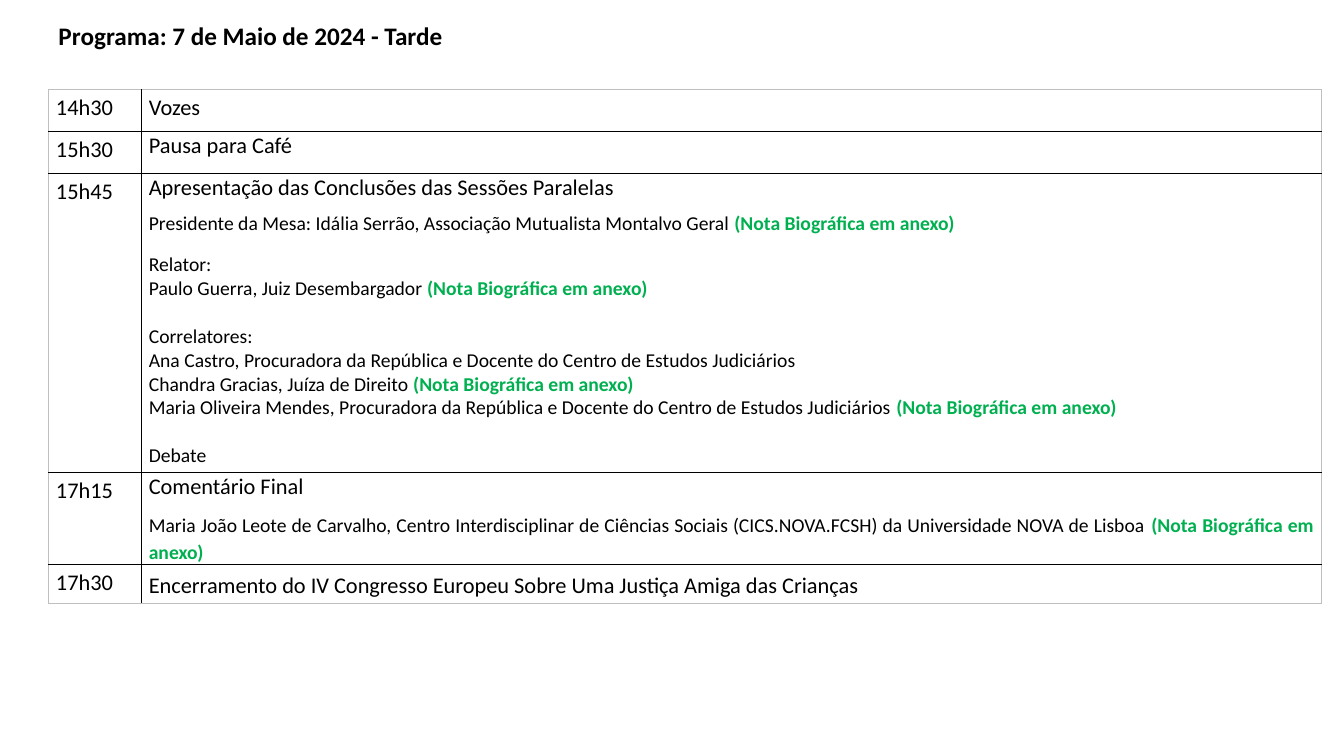
"""Builds the afternoon programme slide of a congress."""
from lxml import etree
from pptx import Presentation
from pptx import util as u
from pptx.dml.color import RGBColor
from pptx.enum import text
from pptx.oxml import ns

BLACK = RGBColor(0, 0, 0)
GREEN = RGBColor(0x00, 0xB0, 0x50)
GREY = RGBColor(0xBF, 0xBF, 0xBF)
FONT = "Calibri"
TOP, MIDDLE = text.MSO_ANCHOR.TOP, text.MSO_ANCHOR.MIDDLE
NOTE = "(Nota Biográfica em anexo)"
LOOSE = {"alignment": text.PP_ALIGN.JUSTIFY, "line_spacing": 1.15}
COLS = (2.34, 29.74)

PROGRAMME = [
    ("14h30", 1.06, TOP, [("Vozes", 16, False, LOOSE)]),
    ("15h30", 1.06, TOP, [("Pausa para Café", 16, False, {})]),
    ("15h45", 7.53, TOP, [
        ("Apresentação das Conclusões das Sessões Paralelas", 16, False, {}),
        ("Presidente da Mesa: Idália Serrão, Associação Mutualista Montalvo Geral ",
         14, True, {"space_before": u.Pt(7.3)}),
        ("Relator:", 14, False, {"space_before": u.Pt(12.8)}),
        ("Paulo Guerra, Juiz Desembargador ", 14, True, {}),
        ("Correlatores:", 14, False, {"space_before": u.Pt(17)}),
        ("Ana Castro, Procuradora da República e Docente do Centro de Estudos Judiciários",
         14, False, {}),
        ("Chandra Gracias, Juíza de Direito ", 14, True, {}),
        ("Maria Oliveira Mendes, Procuradora da República e Docente do Centro de "
         "Estudos Judiciários ", 14, True, {}),
        ("Debate", 14, False, {"space_before": u.Pt(17)}),
    ]),
    ("17h15", 2.32, MIDDLE, [
        ("Comentário Final", 16, False, {}),
        ("Maria João Leote de Carvalho, Centro Interdisciplinar de Ciências Sociais "
         "(CICS.NOVA.FCSH) da Universidade NOVA de Lisboa ",
         14, True, {**LOOSE, "space_before": u.Pt(7)}),
    ]),
    ("17h30", 0.98, MIDDLE, [
        ("Encerramento do IV Congresso Europeu Sobre Uma Justiça Amiga das Crianças",
         16, False, LOOSE),
    ]),
]


def apply(obj, values):
    """Set each named attribute of an object."""
    for name, value in values.items():
        setattr(obj, name, value)


def add_run(p, words, size, color=BLACK, bold=False):
    """Add a formatted run to a paragraph."""
    r = p.add_run()
    r.text = words
    apply(r.font, {"name": FONT, "size": u.Pt(size), "bold": bold})
    r.font.color.rgb = color


def fill_cell(cell, paragraphs, anchor):
    """Write the paragraphs of a cell, with the note where one is due."""
    apply(cell, {"margin_left": u.Cm(0.19), "margin_right": u.Cm(0.19),
                 "margin_top": 0, "margin_bottom": 0, "vertical_anchor": anchor})
    cell.fill.background()
    tf = cell.text_frame
    for i, (words, size, noted, layout) in enumerate(paragraphs):
        p = tf.add_paragraph() if i else tf.paragraphs[0]
        apply(p, layout)
        add_run(p, words, size)
        if noted:
            add_run(p, NOTE, size, GREEN, True)


def border_cell(cell, outer):
    """Draw grey lines on the outer sides of a cell and black ones inside."""
    tc_pr = cell._tc.get_or_add_tcPr()
    for i, side in enumerate(("lnL", "lnR", "lnT", "lnB")):
        color, width = (GREY, 0.5) if side in outer else (BLACK, 1)
        ln = etree.Element(ns.qn("a:" + side), w=str(u.Pt(width)))
        fill = etree.SubElement(ln, ns.qn("a:solidFill"))
        etree.SubElement(fill, ns.qn("a:srgbClr"), val=str(color))
        tc_pr.insert(i, ln)


def add_title(s, words):
    """Place and format the title of the slide."""
    sp = s.shapes.title
    apply(sp, {"left": u.Cm(1.22), "top": u.Cm(0.38),
               "width": u.Cm(17.78), "height": u.Cm(1.03)})
    tf = sp.text_frame
    apply(tf, {"vertical_anchor": TOP, "word_wrap": True,
               "auto_size": text.MSO_AUTO_SIZE.NONE})
    p = tf.paragraphs[0]
    p.alignment = text.PP_ALIGN.LEFT
    add_run(p, words, 18, bold=True)


def add_programme(s):
    """Add the table of hours and sessions."""
    height = sum(row[1] for row in PROGRAMME)
    tbl = s.shapes.add_table(len(PROGRAMME), len(COLS), u.Cm(1.22), u.Cm(2.26),
                             u.Cm(sum(COLS)), u.Cm(height)).table
    apply(tbl, {"first_row": False, "horz_banding": False})
    for col, width in zip(tbl.columns, COLS):
        col.width = u.Cm(width)
    last = len(PROGRAMME) - 1
    for i, (hour, row_height, anchor, paragraphs) in enumerate(PROGRAMME):
        tbl.rows[i].height = u.Cm(row_height)
        ends = {"lnT"} if i == 0 else {"lnB"} if i == last else set()
        fill_cell(tbl.cell(i, 0), [(hour, 16, False, LOOSE)], TOP)
        fill_cell(tbl.cell(i, 1), paragraphs, anchor)
        border_cell(tbl.cell(i, 0), ends | {"lnL"})
        border_cell(tbl.cell(i, 1), ends | {"lnR"})


def main():
    """Build and save the slide."""
    prs = Presentation()
    apply(prs, {"slide_width": u.Cm(33.87), "slide_height": u.Cm(19.05)})
    s = prs.slides.add_slide(prs.slide_layouts[5])
    add_title(s, "Programa: 7 de Maio de 2024 - Tarde")
    add_programme(s)
    prs.save("out.pptx")


if __name__ == "__main__":
    main()
